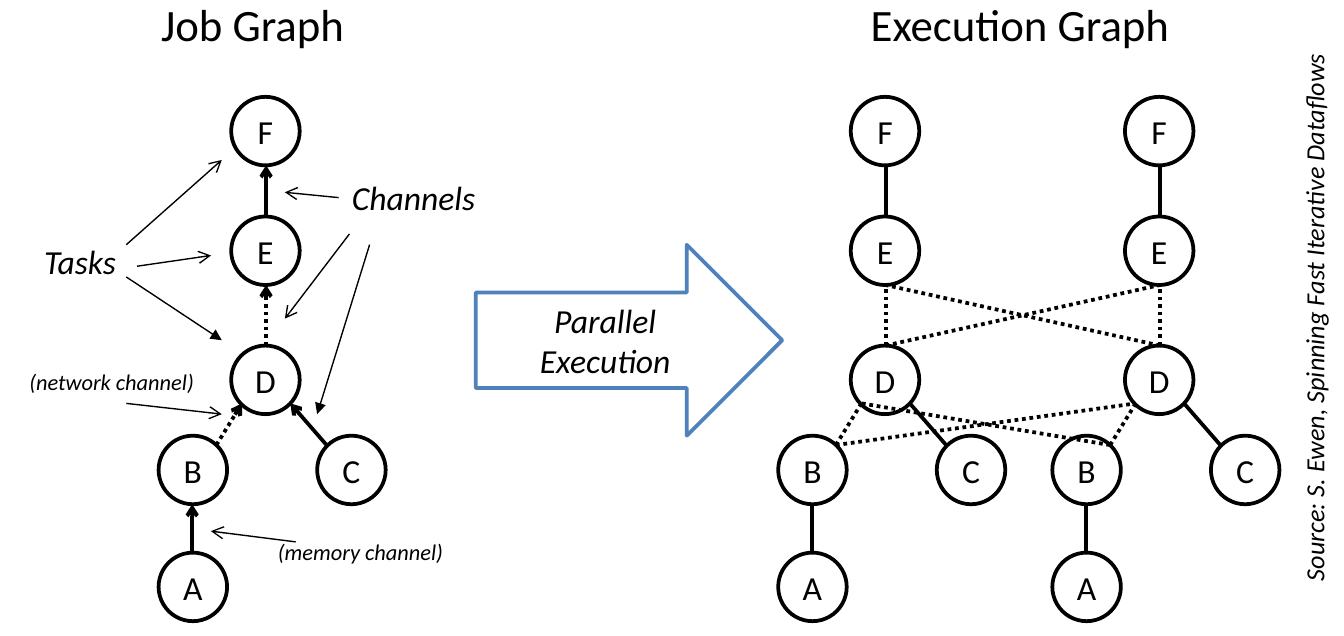
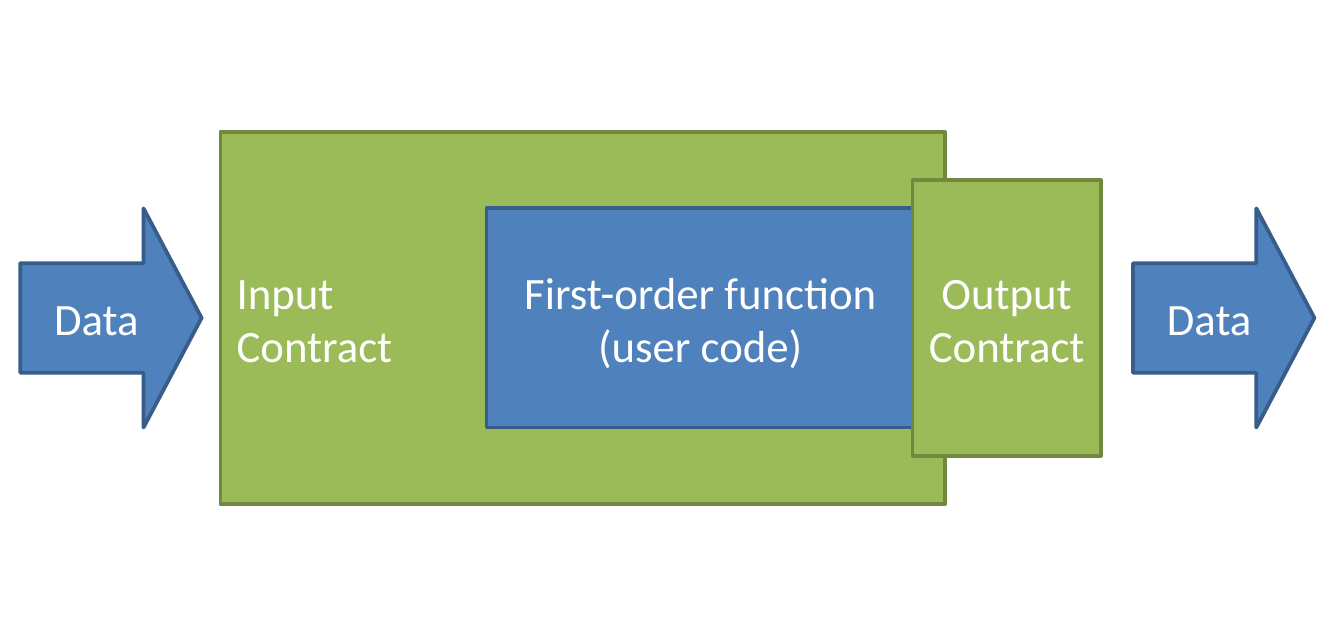
"""Build two slides: a job graph with its parallel execution, and a contract diagram."""
from lxml import etree
from pptx import Presentation
from pptx import util as u
from pptx.dml.color import RGBColor
from pptx.enum import dml, shapes, text
from pptx.oxml.ns import qn

COLORS = {"black": "000000", "white": "FFFFFF", "blue": "4F81BD",
          "navy": "385D8A", "green": "9BBB59", "olive": "71893F"}
FONT = "Calibri"
NODE = 0.51
RECT = shapes.MSO_SHAPE.RECTANGLE
ARROW = shapes.MSO_SHAPE.RIGHT_ARROW
OVAL = shapes.MSO_SHAPE.OVAL


def add_text(parent, kind, box, lines, size, color="black", fill=None, line=None,
             italic=False, align=text.PP_ALIGN.CENTER, inset=0.1):
    """Add a filled shape, or a text box when kind is None."""
    box = [u.Inches(v) for v in box]
    if kind is None:
        sp = parent.add_textbox(*box)
    else:
        sp = parent.add_shape(kind, *box)
        sp.shadow.inherit = False
        sp.fill.solid()
        sp.fill.fore_color.rgb = RGBColor.from_string(COLORS[fill])
        sp.line.color.rgb = RGBColor.from_string(COLORS[line])
        sp.line.width = u.Pt(2)
    tf = sp.text_frame
    tf.word_wrap = kind is not None
    tf.auto_size = text.MSO_AUTO_SIZE.NONE if kind else text.MSO_AUTO_SIZE.SHAPE_TO_FIT_TEXT
    tf.vertical_anchor = text.MSO_ANCHOR.MIDDLE if kind else text.MSO_ANCHOR.TOP
    tf.margin_left = tf.margin_right = u.Inches(inset)
    p = tf.paragraphs[0]
    p.alignment = align if kind else text.PP_ALIGN.LEFT
    for i, words in enumerate(lines.split("\n")):
        if i:
            p.add_line_break()
        r = p.add_run()
        r.text = words
        r.font.name = FONT
        r.font.size = u.Pt(size)
        r.font.italic = italic
        r.font.color.rgb = RGBColor.from_string(COLORS[color])
    return sp


def add_line(parent, start, end, width=2, dotted=False, head=None):
    """Add a straight black line, with an arrowhead at its end if named."""
    points = [u.Inches(v) for v in (*start, *end)]
    cn = parent.add_connector(shapes.MSO_CONNECTOR.STRAIGHT, *points)
    cn.line.color.rgb = RGBColor.from_string(COLORS["black"])
    cn.line.width = u.Pt(width)
    if dotted:
        cn.line.dash_style = dml.MSO_LINE.ROUND_DOT
    if head:
        etree.SubElement(cn.line._get_or_add_ln(), qn("a:tailEnd"), type=head)
    etree.SubElement(cn._element.spPr, qn("a:effectLst"))


prs = Presentation()
prs.slide_width, prs.slide_height = u.Inches(10), u.Inches(4.73)
blank = prs.slide_layouts[6]

s = prs.slides.add_slide(blank).shapes
nodes = {"B": (1.18, 3.24), "C": (2.36, 3.24), "D": (1.72, 2.57),
         "E": (1.72, 1.61), "F": (1.72, 0.72), "A": (1.18, 4.11)}
channels = [((1.98, 1.61), (1.98, 1.23), False), ((1.98, 2.57), (1.98, 2.12), True),
            ((1.43, 4.11), (1.43, 3.75), False), ((1.61, 3.31), (1.8, 3), True),
            ((2.43, 3.31), (2.16, 3), False)]
left, right = 4.61, 6.65

for title, x, w in [("Job Graph", 1.1, 1.57), ("Execution Graph", 6.38, 2.44)]:
    add_text(s, None, (x, -0.07, w, 0.5), title, 24)

add_text(s, ARROW, (3.54, 1.82, 2.28, 1.42), "Parallel Execution", 18,
         fill="white", line="blue", italic=True)

for dx, head in [(0, "arrow"), (left, None), (right, None)]:
    graph = s if dx else s.add_group_shape().shapes
    for name, (x, y) in nodes.items():
        add_text(graph, OVAL, (x + dx, y, NODE, NODE), name, 18, fill="white", line="black")
    for (x1, y1), (x2, y2), dotted in channels:
        add_line(graph, (x1 + dx, y1), (x2 + dx, y2), dotted=dotted, head=head)

for (x1, y1), (x2, y2), dotted in channels:
    if dotted:
        add_line(s, (x1 + left, y1), (x2 + right, y2), dotted=True)
        add_line(s, (x1 + right, y1), (x2 + left, y2), dotted=True)

for label, box, size in [("Tasks", (0.23, 1.74, 0.76, 0.4), 18),
                         ("Channels", (2.52, 1.27, 1.12, 0.4), 18),
                         ("(memory channel)", (1.97, 3.95, 1.43, 0.3), 12),
                         ("(network channel)", (0.12, 2.69, 1.43, 0.3), 12)]:
    add_text(s, None, box, label, size, italic=True)

for start, end, head in [((0.94, 2.06), (1.65, 2.53), "triangle"),
                         ((1.02, 1.98), (1.57, 1.9), "arrow"),
                         ((0.94, 1.82), (1.65, 1.19), "arrow"),
                         ((2.52, 1.47), (2.12, 1.43), "arrow"),
                         ((2.6, 1.74), (2.12, 2.37), "arrow"),
                         ((2.75, 1.82), (2.36, 3.08), "triangle"),
                         ((0.94, 3), (1.65, 3.08), "arrow"),
                         ((2.2, 4.03), (1.57, 3.95), "arrow")]:
    add_line(s, start, end, width=0.75, head=head)

source = add_text(s, None, (7.71, 2.18, 4.14, 0.34),
                  "Source: S. Ewen, Spinning Fast Iterative Dataflows", 14, italic=True)
source.rotation = 270

s = prs.slides.add_slide(blank).shapes
contract = s.add_group_shape().shapes
add_text(contract, RECT, (1.64, 0.98, 5.39, 2.77), "Input\nContract", 24, "white",
         "green", "olive", align=text.PP_ALIGN.LEFT, inset=0.12)
add_text(contract, RECT, (3.62, 1.55, 3.18, 1.63), "First-order function\n(user code)", 24,
         "white", "blue", "navy")
add_text(contract, RECT, (6.79, 1.34, 1.4, 2.05), "Output\nContract", 24, "white",
         "green", "olive", inset=0)
for x in (0.15, 8.43):
    data = add_text(contract, ARROW, (x, 1.55, 1.35, 1.63), "Data", 24, "white", "blue", "navy")
    data.adjustments[1] = 0.32

prs.save("out.pptx")
